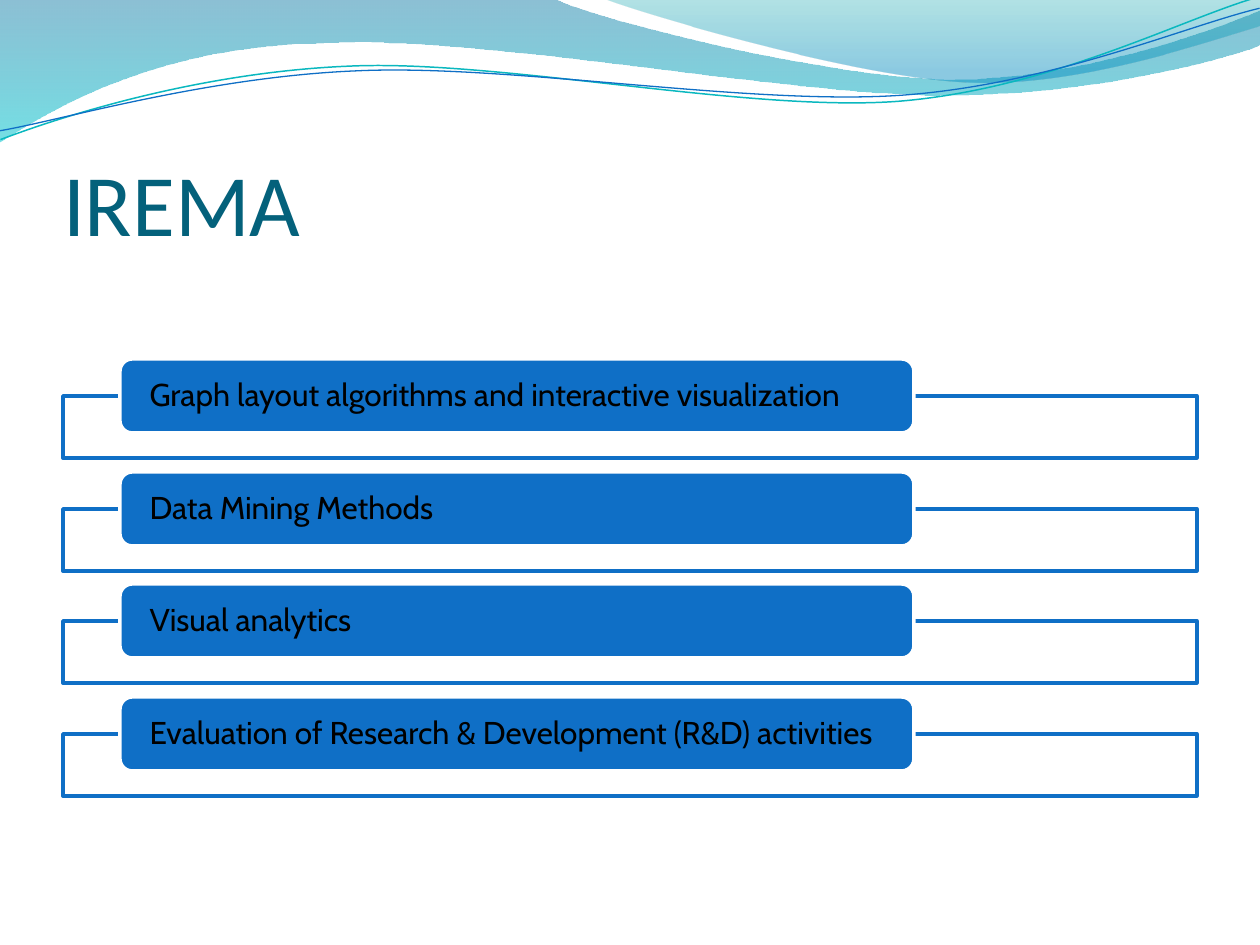
from dataclasses import dataclass

import pptx
import pptx.dml.color
import pptx.enum.shapes
import pptx.enum.text
import pptx.oxml
import pptx.oxml.ns
import pptx.util

EMU_PER_PX = 914400 / 126
BLUE = "0F6FC6"
WHITE = "FFFFFF"

Point = tuple[int, int]


@dataclass(frozen=True)
class Stop:
    position: float
    color: str
    opacity: int


@dataclass(frozen=True)
class Wave:
    """Outline whose segments hold one point (line) or three points (curve)."""
    start: Point
    segments: list[list[Point]]
    stops: tuple[Stop, ...] = ()
    line_color: str = ""
    line_width: float = 0
    rotation: float = 0


WAVES = [
    Wave((-1, -1), [
        [(554, -1)],
        [(600, 21), (837, 79), (955, 79)],
        [(1075, 79), (1207, 33), (1260, 11)],
        [(1261, 45)],
        [(1239, 55), (1096, 96), (940, 95)],
        [(784, 95), (481, 35), (324, 43)],
        [(163, 45), (58, 105), (-1, 142)],
    ], stops=(Stop(0, "0074A1", 45), Stop(1, "00C6CF", 55))),
    Wave((604, -1), [
        [(641, 14), (859, 78), (969, 82)],
        [(1079, 87), (1211, 40), (1260, 26)],
        [(1260, -1)],
    ], stops=(Stop(0, "00A1A9", 30), Stop(0.8, "008BBF", 45))),
    Wave((-2, 110), [
        [(59, 90), (199, 52), (350, 53)],
        [(499, 53), (745, 118), (896, 114)],
        [(1049, 109), (1184, 45), (1260, 27)],
    ], line_color="0AB8BF", line_width=0.85, rotation=357.3),
    Wave((-2, 101), [
        [(57, 94), (207, 57), (357, 58)],
        [(509, 58), (750, 112), (902, 108)],
        [(1052, 104), (1188, 52), (1262, 38)],
    ], line_color=BLUE, line_width=0.75, rotation=357.3),
]

TOPICS = [
    "Graph layout algorithms and interactive visualization",
    "Data Mining Methods",
    "Visual analytics",
    "Evaluation of Research & Development (R&D) activities",
]


def px(length: float) -> pptx.util.Emu:
    return pptx.util.Emu(round(length * EMU_PER_PX))


def rgb(color: str) -> pptx.dml.color.RGBColor:
    return pptx.dml.color.RGBColor.from_string(color)


def set_opacity(fill_element, percents: list[int]) -> None:
    """Give each colour inside a fill its opacity, in order."""
    colors = fill_element.iter(pptx.oxml.ns.qn("a:srgbClr"))
    for color, percent in zip(colors, percents):
        alpha = pptx.oxml.parse_xml(
            f'<a:alpha {pptx.oxml.ns.nsdecls("a")} val="{percent * 1000}"/>')
        color.append(alpha)


def set_line(shape, color: str, width: float) -> None:
    shape.line.color.rgb = rgb(color)
    shape.line.width = pptx.util.Pt(width)


def bend_segments(shape, segments: list[list[Point]]) -> None:
    """Join each run of three line steps into one cubic curve."""
    steps = iter(list(shape._element.iter(pptx.oxml.ns.qn("a:lnTo"))))
    for segment in segments:
        run = [next(steps) for _ in segment]
        if len(run) == 1:
            continue
        curve = pptx.oxml.parse_xml(f'<a:cubicBezTo {pptx.oxml.ns.nsdecls("a")}/>')
        run[0].addprevious(curve)
        for step in run:
            curve.append(step[0])
            step.getparent().remove(step)


def draw_wave(slide, wave: Wave) -> None:
    points = [(px(x), px(y)) for segment in wave.segments for x, y in segment]
    builder = slide.shapes.build_freeform(*map(px, wave.start))
    builder.add_line_segments(points, close=bool(wave.stops))
    shape = builder.convert_to_shape()
    bend_segments(shape, wave.segments)
    shape.rotation = wave.rotation
    shape.shadow.inherit = False
    if not wave.stops:
        shape.fill.background()
        set_line(shape, wave.line_color, wave.line_width)
        return
    shape.line.fill.background()
    shape.fill.gradient()
    shape.fill.gradient_angle = 270  # top to bottom
    for target, stop in zip(shape.fill.gradient_stops, wave.stops):
        target.position = stop.position
        target.color.rgb = rgb(stop.color)
    set_opacity(shape._element.spPr, [stop.opacity for stop in wave.stops])


def draw_box(slide, kind, left: int, top: int, width: int, height: int,
             fill: str, line: str):
    box = slide.shapes.add_shape(kind, px(left), px(top), px(width), px(height))
    box.shadow.inherit = False
    box.fill.solid()
    box.fill.fore_color.rgb = rgb(fill)
    set_line(box, line, 2)
    return box


def format_para(para, font: str, size: int, color: str) -> None:
    para.alignment = pptx.enum.text.PP_ALIGN.LEFT
    para.font.name = font
    para.font.size = pptx.util.Pt(size)
    para.font.color.rgb = rgb(color)


def draw_topic(slide, text: str, top: int) -> None:
    kinds = pptx.enum.shapes.MSO_SHAPE
    frame = draw_box(slide, kinds.RECTANGLE, 63, top, 1134, 62, WHITE, BLUE)
    set_opacity(frame._element.spPr, [90])
    label = draw_box(slide, kinds.ROUNDED_RECTANGLE, 120, top - 37, 794, 74, BLUE, WHITE)
    body = label.text_frame
    body.text = text
    body.word_wrap = True
    body.vertical_anchor = pptx.enum.text.MSO_ANCHOR.MIDDLE
    body.margin_left = body.margin_right = px(26)
    body.margin_top = body.margin_bottom = 0
    para = body.paragraphs[0]
    para.line_spacing = 0.9
    format_para(para, "Cabin", 18, "000000")


def place_title(slide, text: str) -> None:
    title = slide.shapes.title
    title.left, title.top, title.width, title.height = map(px, (63, 97, 1134, 157))
    body = title.text_frame
    body.text = text
    body.auto_size = pptx.enum.text.MSO_AUTO_SIZE.NONE
    body.vertical_anchor = pptx.enum.text.MSO_ANCHOR.BOTTOM
    body.margin_left = body.margin_right = body.margin_bottom = 0
    body.margin_top = px(6)
    format_para(body.paragraphs[0], "Calibri", 50, "04617B")
    slide.shapes._spTree.append(title._element)  # in front of the waves


def main() -> None:
    deck = pptx.Presentation()
    deck.slide_width, deck.slide_height = px(1260), px(945)
    slide = deck.slides.add_slide(deck.slide_layouts[5])

    # Waves across the top
    for wave in WAVES:
        draw_wave(slide, wave)

    place_title(slide, "IREMA")

    # Topic list, two rows every 225 px
    for row, topic in enumerate(TOPICS):
        draw_topic(slide, topic, 396 + (row * 225 + 1) // 2)

    deck.save("out.pptx")


if __name__ == "__main__":
    main()
